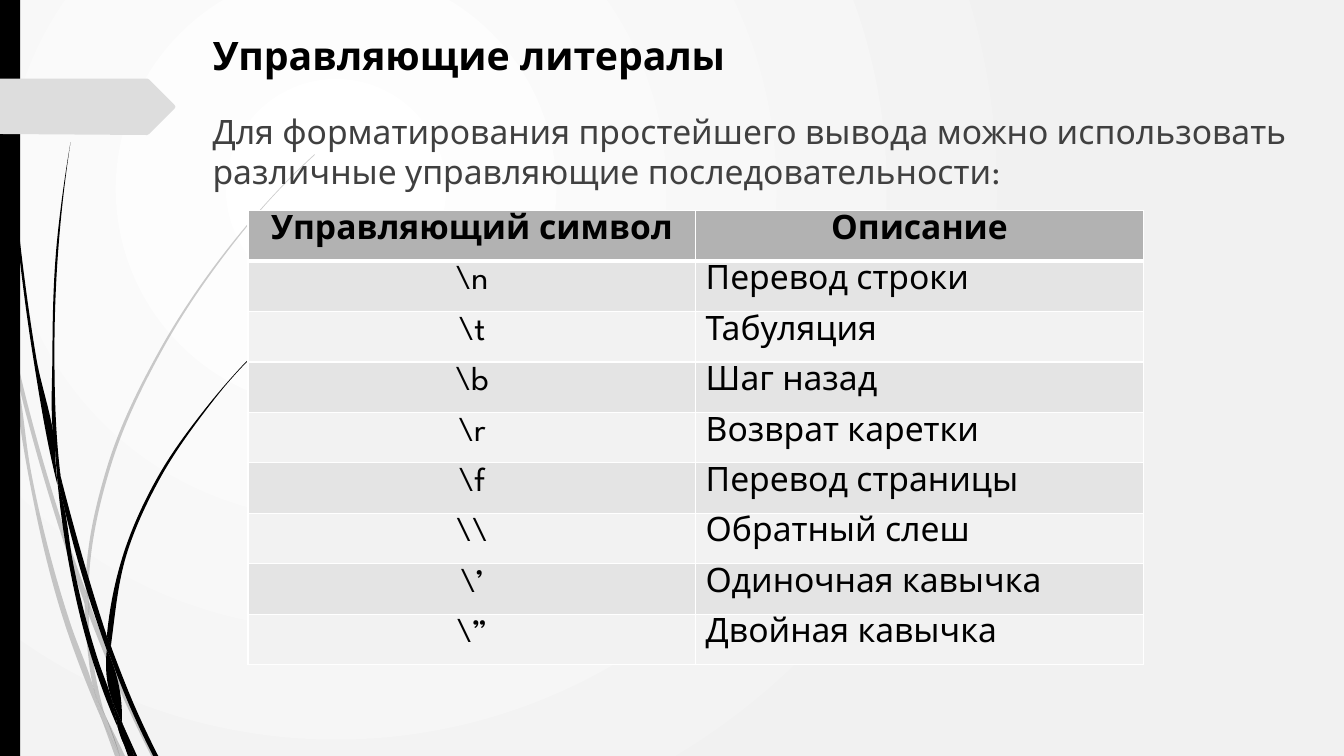
from dataclasses import dataclass
from itertools import product
from typing import NamedTuple

from lxml.etree import SubElement
from pptx import Presentation
from pptx.dml.color import RGBColor
from pptx.enum.shapes import MSO_SHAPE
from pptx.enum.text import PP_ALIGN
from pptx.oxml.ns import qn
from pptx.util import Emu, Pt

COLS, ROWS = 1333, 750
CELL = 9144


@dataclass(frozen=True)
class Theme:
    font: str = "League Spartan"
    head: float = 28
    body: float = 24
    black: str = "000000"
    text: str = "404040"
    tab: str = "DDDDDD"
    glow: str = "FFFFFF"
    edge: str = "F1F1F1"
    rule: str = "FFFFFF"
    top: str = "B2B2B2"
    bands: tuple[str, str] = ("E4E4E4", "F2F2F2")


class Box(NamedTuple):
    left: int
    top: int
    width: int
    height: int

    def size(self) -> list[Emu]:
        return [Emu(n * CELL) for n in self]


class Blade(NamedTuple):
    out: str
    back: str


class Label(NamedTuple):
    box: Box
    text: str
    size: float
    color: str
    bold: bool = False
    before: float = 0


THEME = Theme()

PALE = [
    Blade("11,350 9,322 0,282", "0,299 10,344"),
    Blade("14,345 62,520 85,586", "84,599 58,522 17,376"),
    Blade("88,596 92,607 127,692 155,750", "150,750 123,694 88,610"),
    Blade("105,711 124,750", "119,750"),
    Blade("11,350 17,376 31,469 70,619 93,683 99,707 101,714",
          "101,714 92,693 65,621 28,470 11,350"),
    Blade("84,599 87,646 93,683 96,692 105,711", "103,706 91,646 88,610 88,608"),
    Blade("88,596 88,584 110,462 160,349 229,245 268,198 290,175 312,154",
          "312,153 289,175 268,197 228,244 158,348 107,461 85,584 85,586"),
    Blade("101,714 114,750", "119,750"),
    Blade("85,586 88,596 88,610", "88,608 84,599"),
    Blade("93,683 96,692 105,711 119,750", "101,714 99,707"),
]
DARK = [
    Blade("3,0 4,48 7,110 17,233 33,355 56,477 57,481",
          "55,457 55,453 36,355 19,232 8,109 5,48 4,0"),
    Blade("60,472 93,590 106,631", "106,645 88,592 64,505"),
    Blade("110,641 113,649 136,706 157,750", "152,750 132,708 111,656"),
    Blade("57,477 64,505 72,556 98,657 110,691 116,717 117,722",
          "117,722 111,708 93,659 68,557 57,477"),
    Blade("60,472 58,453 54,349 58,245 63,193 70,141",
          "70,141 62,193 56,245 52,349 55,449 60,472"),
    Blade("122,719 136,750", "133,750"),
    Blade("55,449 60,472 64,505", "57,477 55,453"),
    Blade("110,641 111,633 125,552 158,476 205,406 231,374 245,359 261,344",
          "260,344 245,358 231,373 204,405 156,474 122,551 106,631"),
    Blade("117,722 131,750", "127,750"),
    Blade("106,645 110,691 116,706 122,719", "121,716 111,656 109,651"),
    Blade("106,631 110,641 111,656", "109,651 106,645"),
    Blade("110,691 116,706 122,719 133,750", "130,750 117,722 116,717"),
]
ARROW = "0,78 146,78 148,79 173,104 174,106 173,108 148,133 146,134 0,133"

LABELS = [
    Label(Box(201, 105, 1101, 104),
          "Для форматирования простейшего вывода можно использовать "
          "различные управляющие последовательности:",
          THEME.body, THEME.text, before=10),
    Label(Box(201, 26, 911, 57), "Управляющие литералы", THEME.head, THEME.black, bold=True),
]
GRID = Box(246, 209, 888, 450)
CODES = [
    ("Управляющий символ", "Описание"),
    ("\\n", "Перевод строки"),
    ("\\t", "Табуляция"),
    ("\\b", "Шаг назад"),
    ("\\r", "Возврат каретки"),
    ("\\f", "Перевод страницы"),
    ("\\\\", "Обратный слеш"),
    ("\\’", "Одиночная кавычка"),
    ("\\”", "Двойная кавычка"),
]


def points(text: str) -> list[complex]:
    pairs = (pair.split(",") for pair in text.split())
    return [complex(int(x), int(y)) * CELL for x, y in pairs]


def handles(knots: list[complex]) -> list[tuple[complex, complex]]:
    if len(knots) < 2:
        return []
    gaps = [abs(b - a) for a, b in zip(knots, knots[1:])]
    runs = [(b - a) / gap for a, b, gap in zip(knots, knots[1:], gaps)]
    mids = [(u * h + v * g) / (g + h)
            for u, v, g, h in zip(runs, runs[1:], gaps, gaps[1:])]
    first = 2 * runs[0] - mids[0] if mids else runs[0]
    last = 2 * runs[-1] - mids[-1] if mids else runs[-1]
    slopes = [first, *mids, last]
    return [(a + u * gap / 3, b - v * gap / 3)
            for a, b, u, v, gap in zip(knots, knots[1:], slopes, slopes[1:], gaps)]


def paint(shape, color: str, alpha: int = 100) -> None:
    shape.shadow.inherit = False
    shape.fill.solid()
    shape.fill.fore_color.rgb = RGBColor.from_string(color)
    shape.line.fill.background()
    if alpha < 100:
        tone = shape.element.spPr.find(".//" + qn("a:srgbClr"))
        SubElement(tone, qn("a:alpha"), val=str(alpha * 1000))


def outline(slide, knots: list[complex], color: str, alpha: int = 100):
    spots = [(int(knot.real), int(knot.imag)) for knot in knots]
    pen = slide.shapes.build_freeform(*spots[0])
    pen.add_line_segments(spots[1:], close=True)
    shape = pen.convert_to_shape()
    paint(shape, color, alpha)
    return shape


def bend(shape, bends: list) -> None:
    base = complex(shape.left, shape.top)
    for line, pair in zip(shape.element.findall(".//" + qn("a:lnTo")), bends):
        if pair is None:
            continue
        line.tag = qn("a:cubicBezTo")
        for index, spot in enumerate(pair):
            rel = spot - base
            knob = SubElement(line, qn("a:pt"), x=str(round(rel.real)), y=str(round(rel.imag)))
            line.insert(index, knob)


def sprout(slide, blade: Blade, alpha: int) -> None:
    out, back = points(blade.out), points(blade.back)
    shape = outline(slide, out + back, THEME.black, alpha)
    bend(shape, [*handles(out), None, *handles(back)])


def style(para, size: float, color: str, bold: bool) -> None:
    font = para.font
    font.name, font.size, font.bold = THEME.font, Pt(size), bold
    font.color.rgb = RGBColor.from_string(color)


def write(slide, label: Label) -> None:
    frame = slide.shapes.add_textbox(*label.box.size()).text_frame
    frame.word_wrap = True
    para = frame.paragraphs[0]
    para.text = label.text
    para.space_before = Pt(label.before)
    style(para, label.size, label.color, label.bold)


def border(cell, head: bool) -> None:
    props = cell._tc.get_or_add_tcPr()
    for index, side in enumerate(("lnL", "lnR", "lnT", "lnB")):
        width = 3 if head and side == "lnB" else 1
        line = SubElement(props, qn(f"a:{side}"), w=str(Pt(width)))
        fill = SubElement(line, qn("a:solidFill"))
        SubElement(fill, qn("a:srgbClr"), val=THEME.rule)
        props.insert(index, line)


def chart(slide) -> None:
    table = slide.shapes.add_table(len(CODES), 2, *GRID.size()).table
    for row, col in product(range(len(CODES)), range(2)):
        cell = table.cell(row, col)
        head = row == 0
        cell.text = CODES[row][col]
        para = cell.text_frame.paragraphs[0]
        para.alignment = PP_ALIGN.CENTER if head or col == 0 else PP_ALIGN.LEFT
        style(para, THEME.body, THEME.black, head)
        cell.fill.solid()
        shade = THEME.top if head else THEME.bands[(row - 1) % 2]
        cell.fill.fore_color.rgb = RGBColor.from_string(shade)
        border(cell, head)


def backdrop(slide) -> None:
    fill = slide.background.fill
    fill.gradient()
    for stop, color in zip(fill.gradient_stops, (THEME.glow, THEME.edge)):
        stop.color.rgb = RGBColor.from_string(color)
    ramp = slide.element.find(".//" + qn("a:gradFill"))
    ramp.remove(ramp.find(qn("a:lin")))
    glow = SubElement(ramp, qn("a:path"), path="circle")
    SubElement(glow, qn("a:fillToRect"), l="50000", t="50000", r="100000", b="100000")


def main() -> None:
    deck = Presentation()
    deck.slide_width, deck.slide_height = Emu(COLS * CELL), Emu(ROWS * CELL)
    slide = deck.slides.add_slide(deck.slide_layouts[6])
    backdrop(slide)
    for blades, alpha in ((PALE, 20), (DARK, 100)):
        for blade in blades:
            sprout(slide, blade, alpha)
    bar = slide.shapes.add_shape(MSO_SHAPE.RECTANGLE, *Box(0, 0, 20, ROWS).size())
    paint(bar, THEME.black)
    outline(slide, points(ARROW), THEME.tab)
    for label in LABELS:
        write(slide, label)
    chart(slide)
    deck.save("out.pptx")


if __name__ == "__main__":
    main()
